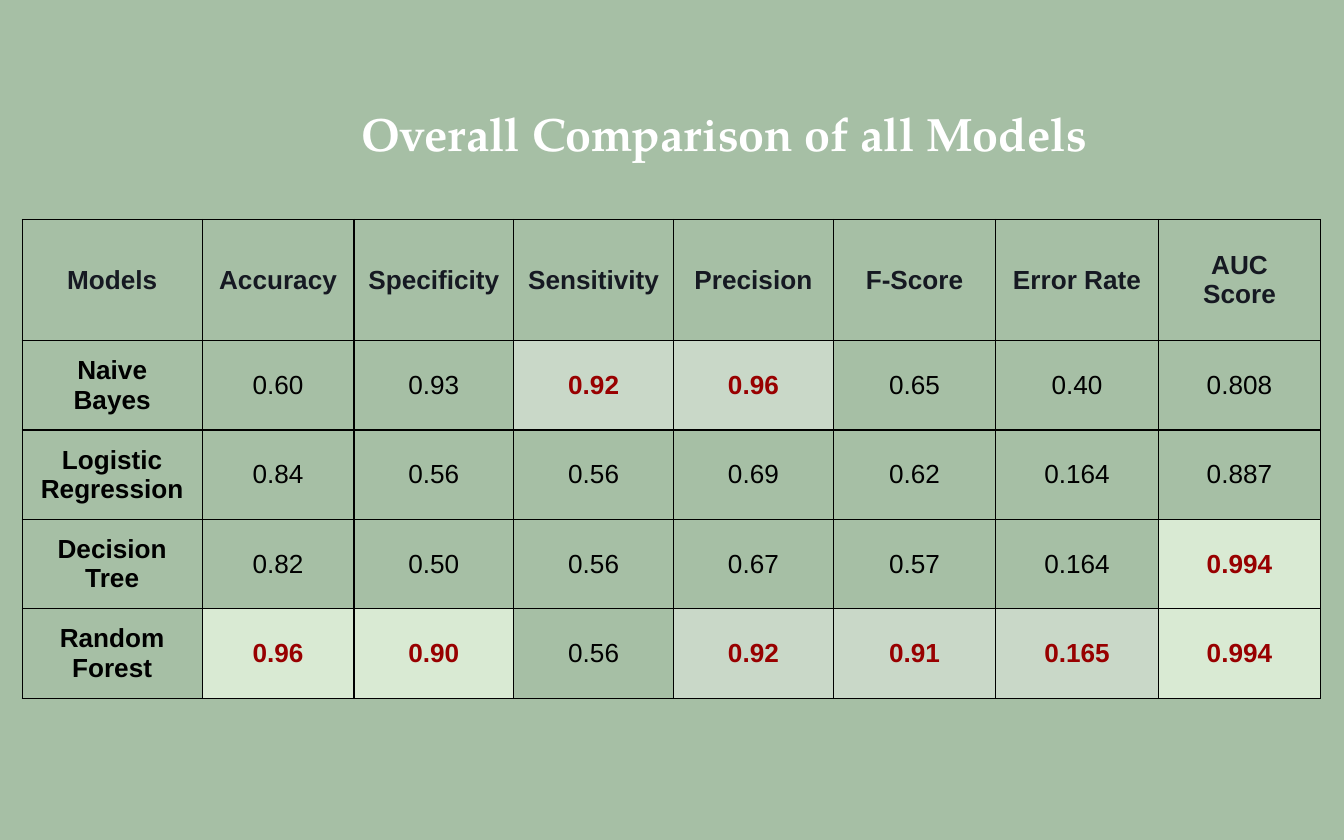
from lxml import etree
from pptx import Presentation
from pptx.dml.color import RGBColor
from pptx.enum.text import MSO_ANCHOR, PP_ALIGN
from pptx.oxml.ns import qn
from pptx.util import Cm, Pt

CENTER = PP_ALIGN.CENTER
TOP = MSO_ANCHOR.TOP
MIDDLE = MSO_ANCHOR.MIDDLE

COLORS = {
    "background": "A6BFA5",
    "title": "FFFFFF",
    "header": "161922",
    "body": "000000",
    "best": "980000",
    "border": "000000",
    "sage": "C9D8C8",
    "mint": "D9EAD3",
}
TITLE_FONT = {"name": "TeX Gyre Pagella", "size": Pt(25), "bold": True}
STRONG_FONT = {"name": "Arial", "size": Pt(14), "bold": True}
VALUE_FONT = {**STRONG_FONT, "bold": False}
INSET = Cm(0.25)
MARGINS = {f"margin_{side}": INSET for side in ("left", "top", "right", "bottom")}
TITLE_FRAME = {**MARGINS, "word_wrap": True, "vertical_anchor": TOP}
CELL_FORMAT = {**MARGINS, "vertical_anchor": MIDDLE}

COLUMN_WIDTHS = [3.4, 2.87] + [3.02] * 3 + [3.07] * 3
ROW_HEIGHTS = [2.29] + [1.69] * 4
RESULTS = [
    ["Models", "Accuracy", "Specificity", "Sensitivity", "Precision",
     "F-Score", "Error Rate", "AUC Score"],
    ["Naive Bayes", "0.60", "0.93", "0.92", "0.96", "0.65", "0.40", "0.808"],
    ["Logistic Regression", "0.84", "0.56", "0.56", "0.69", "0.62", "0.164", "0.887"],
    ["Decision Tree", "0.82", "0.50", "0.56", "0.67", "0.57", "0.164", "0.994"],
    ["Random Forest", "0.96", "0.90", "0.56", "0.92", "0.91", "0.165", "0.994"],
]
HIGHLIGHTS = {
    "sage": {(1, 3), (1, 4), (4, 4), (4, 5), (4, 6)},
    "mint": {(3, 7), (4, 1), (4, 2), (4, 7)},
}


def apply_format(target, values):
    """Set each named attribute of the target."""
    for name, value in values.items():
        setattr(target, name, value)


def rgb(name):
    """Return the palette colour with this name."""
    return RGBColor.from_string(COLORS[name])


def write_text(frame, text, font_format, color):
    """Write one centred, formatted line of text."""
    paragraph = frame.paragraphs[0]
    paragraph.alignment = CENTER
    run = paragraph.add_run()
    run.text = text
    apply_format(run.font, font_format)
    run.font.color.rgb = rgb(color)


def add_title(slide, text):
    """Add the slide heading."""
    frame = slide.shapes.add_textbox(Cm(2.84), Cm(1.73), Cm(21.69), Cm(1.37)).text_frame
    apply_format(frame, TITLE_FRAME)
    write_text(frame, text, TITLE_FONT, "title")


def add_borders(cell):
    """Draw a thin solid line on all four sides of a cell."""
    properties = cell._tc.get_or_add_tcPr()
    for side in ("lnL", "lnR", "lnT", "lnB"):
        line = etree.SubElement(properties, qn(f"a:{side}"), w=str(Pt(0.75)))
        fill = etree.SubElement(line, qn("a:solidFill"))
        etree.SubElement(fill, qn("a:srgbClr"), val=COLORS["border"])


def fill_cell(cell, highlight):
    """Fill a highlighted cell and leave any other cell clear."""
    if highlight:
        cell.fill.solid()
        cell.fill.fore_color.rgb = rgb(highlight)
    else:
        cell.fill.background()


def cell_style(row, column, highlight):
    """Return the font format and colour name for a cell."""
    if row == 0:
        return STRONG_FONT, "header"
    if highlight:
        return STRONG_FONT, "best"
    return (VALUE_FONT if column else STRONG_FONT), "body"


def add_results_table(slide):
    """Add the table that compares the models."""
    table = slide.shapes.add_table(
        len(ROW_HEIGHTS), len(COLUMN_WIDTHS), Cm(0.42), Cm(4.15),
        Cm(sum(COLUMN_WIDTHS)), Cm(sum(ROW_HEIGHTS))).table
    apply_format(table, {"first_row": False, "horz_banding": False})
    for column, width in zip(table.columns, COLUMN_WIDTHS):
        column.width = Cm(width)
    for row, height in zip(table.rows, ROW_HEIGHTS):
        row.height = Cm(height)
    for r, texts in enumerate(RESULTS):
        for c, text in enumerate(texts):
            cell = table.cell(r, c)
            highlight = next(
                (name for name, places in HIGHLIGHTS.items() if (r, c) in places), None)
            apply_format(cell, CELL_FORMAT)
            add_borders(cell)
            fill_cell(cell, highlight)
            write_text(cell.text_frame, text, *cell_style(r, c, highlight))


def main():
    """Build and save the model comparison slide."""
    deck = Presentation()
    apply_format(deck, {"slide_width": Cm(25.4), "slide_height": Cm(15.88)})
    slide = deck.slides.add_slide(deck.slide_layouts[6])
    slide.background.fill.solid()
    slide.background.fill.fore_color.rgb = rgb("background")
    add_title(slide, "Overall Comparison of all Models")
    add_results_table(slide)
    deck.save("out.pptx")


if __name__ == "__main__":
    main()
